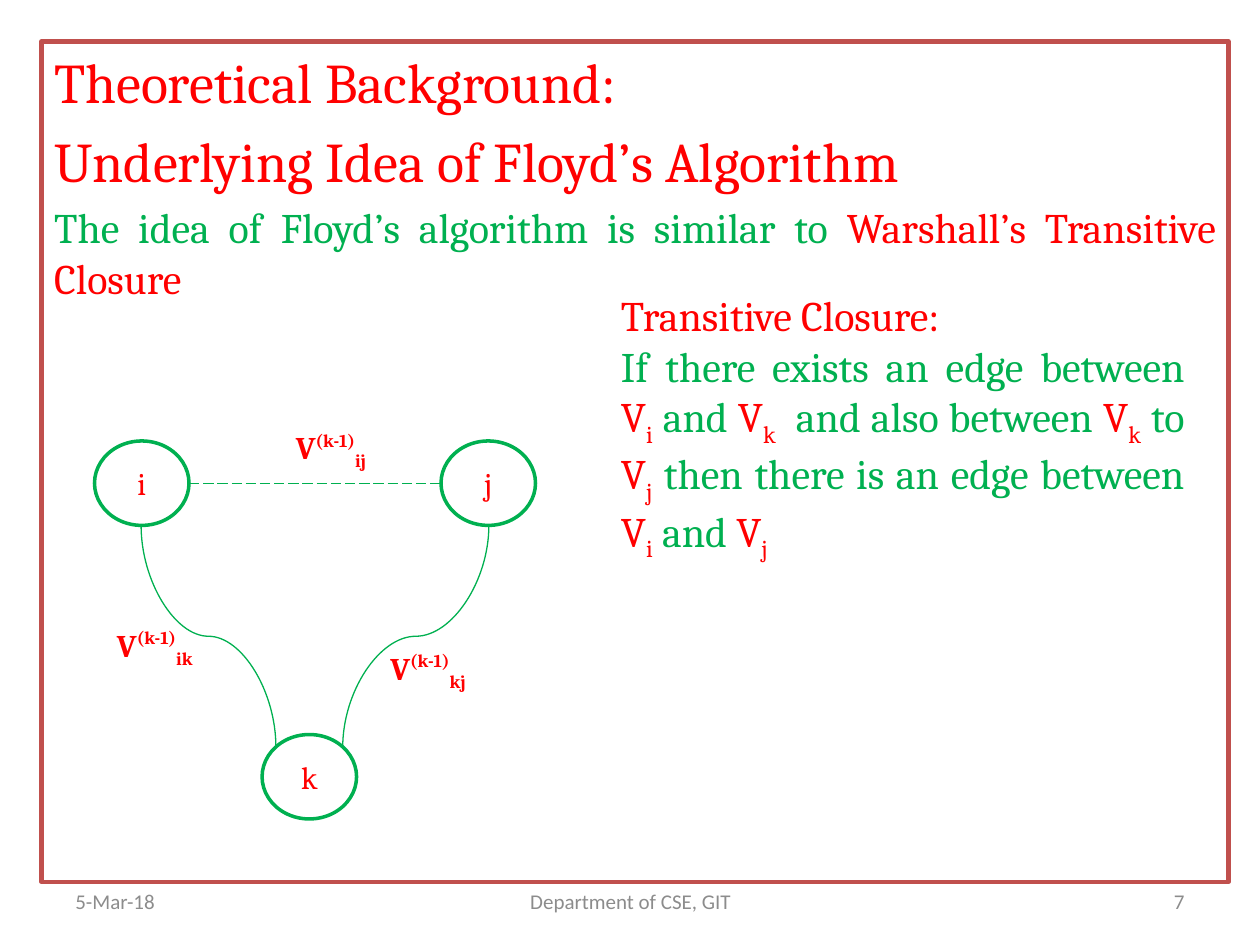
from lxml.etree import SubElement
from pptx import Presentation
from pptx.dml.color import RGBColor
from pptx.enum.dml import MSO_LINE_DASH_STYLE as Dash
from pptx.enum.shapes import MSO_CONNECTOR as Link, MSO_SHAPE as Shape
from pptx.enum.text import MSO_ANCHOR as Anchor, PP_ALIGN as Align
from pptx.oxml.ns import qn
from pptx.util import Inches, Pt

COLORS = {"red": "FF0000", "green": "00B050", "grey": "8C8C8C", "frame": "C0504D"}
SUB, SUPER = -25000, 40000


def vertex(index):
    return [("V", "red"), (index, "red", SUB)]


# Content: a run is (text, colour, optional baseline shift)
HEADING = [
    (32, 0, [("Theoretical Background: ", "red")]),
    (32, 6.4, [("Underlying Idea of Floyd’s Algorithm", "red")]),
    (24, 4.8, [("The idea of Floyd’s algorithm is similar to ", "green"),
               ("Warshall’s Transitive Closure", "red")]),
]
CLOSURE = [
    [("Transitive Closure:", "red")],
    [("If there exists an edge between ", "green"), *vertex("i"),
     (" and ", "green"), *vertex("k"),
     ("  and also between ", "green"), *vertex("k"),
     (" to ", "green"), *vertex("j"),
     (" then there is an edge between ", "green"), *vertex("i"),
     (" and ", "green"), *vertex("j")],
]
FOOTERS = [  # text, left, width, alignment
    ("5-Mar-18", 0.5, 2.33, Align.LEFT),
    ("Department of CSE, GIT", 3.42, 3.17, Align.CENTER),
    ("7", 7.17, 2.33, Align.RIGHT),
]
NODE_W, NODE_H = 0.75, 0.67
NODES = {"i": (0.75, 3.5), "j": (3.5, 3.5), "k": (2.08, 5.83)}
CURVES = [  # start, end, rotation in degrees, flipped
    ((1.12, 4.17), (2.19, 5.93), 270, True),
    ((3.88, 4.17), (2.72, 5.93), 90, False),
]
EDGE_LABELS = [("ik", 0.83, 4.92, 1.08), ("kj", 3, 5.1, 1), ("ij", 2.25, 3.35, 1)]


def color(name):
    return RGBColor.from_string(COLORS[name])


def write(para, runs, size, font="Cambria", align=Align.LEFT, bold=False):
    para.alignment = align
    para.font.name, para.font.size, para.font.bold = font, Pt(size), bold
    for text, tint, *shift in runs:
        span = para.add_run()
        span.text = text
        span.font.color.rgb = color(tint)
        if shift:
            span.font._element.set("baseline", str(shift[0]))


def add_text(slide, left, top, width, height, anchor=Anchor.TOP):
    box = slide.shapes.add_textbox(*map(Inches, (left, top, width, height)))
    box.text_frame.word_wrap = True
    box.text_frame.vertical_anchor = anchor
    return box.text_frame


def add_edge(slide, kind, start, end):
    edge = slide.shapes.add_connector(kind, *map(Inches, (*start, *end)))
    edge.line.color.rgb = color("green")
    edge.line.width = Pt(0.75)
    SubElement(edge._element.spPr, qn("a:effectLst"))
    return edge


def add_curve(slide, start, end, degrees, flipped):
    # A quarter turn swaps the sides of the box around its centre
    (x1, y1), (x2, y2) = start, end
    mid_x, mid_y = (x1 + x2) / 2, (y1 + y2) / 2
    half_w, half_h = abs(y2 - y1) / 2, abs(x2 - x1) / 2
    edge = add_edge(slide, Link.CURVE, (mid_x - half_w, mid_y - half_h),
                    (mid_x + half_w, mid_y + half_h))
    transform = edge._element.spPr.find(qn("a:xfrm"))
    transform.set("rot", str(degrees * 60000))
    if flipped:
        transform.set("flipH", "1")


def main():
    deck = Presentation()
    deck.slide_width, deck.slide_height = Inches(10), Inches(7.5)
    slide = deck.slides.add_slide(deck.slide_layouts[0])
    title = slide.shapes.title._element
    title.getparent().remove(title)

    # Framed heading
    body = slide.placeholders[1]
    body.left, body.top, body.width, body.height = map(Inches, (0.33, 0.33, 9.42, 6.67))
    body.line.color.rgb = color("frame")
    body.line.width = Pt(2.5)
    frame = body.text_frame
    for number, (size, before, runs) in enumerate(HEADING):
        para = frame.add_paragraph() if number else frame.paragraphs[0]
        para.space_before = Pt(before)
        write(para, runs, size, align=Align.JUSTIFY)

    # Footer row
    for text, left, width, align in FOOTERS:
        frame = add_text(slide, left, 6.95, width, 0.4, Anchor.MIDDLE)
        write(frame.paragraphs[0], [(text, "grey")], 12, "Calibri", align)

    # Graph nodes
    for name, (left, top) in NODES.items():
        node = slide.shapes.add_shape(
            Shape.OVAL, *map(Inches, (left, top, NODE_W, NODE_H)))
        node.shadow.inherit = False
        node.fill.background()
        node.line.color.rgb = color("green")
        node.line.width = Pt(2)
        node.text_frame.vertical_anchor = Anchor.MIDDLE
        write(node.text_frame.paragraphs[0], [(name, "red")], 18, align=Align.CENTER)

    # Graph edges and their labels
    for curve in CURVES:
        add_curve(slide, *curve)
    (i_left, i_top), (j_left, j_top) = NODES["i"], NODES["j"]
    direct = add_edge(slide, Link.STRAIGHT, (i_left + NODE_W, i_top + NODE_H / 2),
                      (j_left, j_top + NODE_H / 2))
    direct.line.dash_style = Dash.LONG_DASH
    for index, left, top, width in EDGE_LABELS:
        frame = add_text(slide, left, top, width, 0.4)
        write(frame.paragraphs[0], [("V", "red"), ("(k-1)", "red", SUPER),
                                    (index, "red", SUB)], 18, bold=True)

    # Explanation
    frame = add_text(slide, 4.83, 2.25, 4.67, 2.12)
    for number, runs in enumerate(CLOSURE):
        para = frame.add_paragraph() if number else frame.paragraphs[0]
        write(para, runs, 24, align=Align.JUSTIFY)

    deck.save("out.pptx")


if __name__ == "__main__":
    main()
